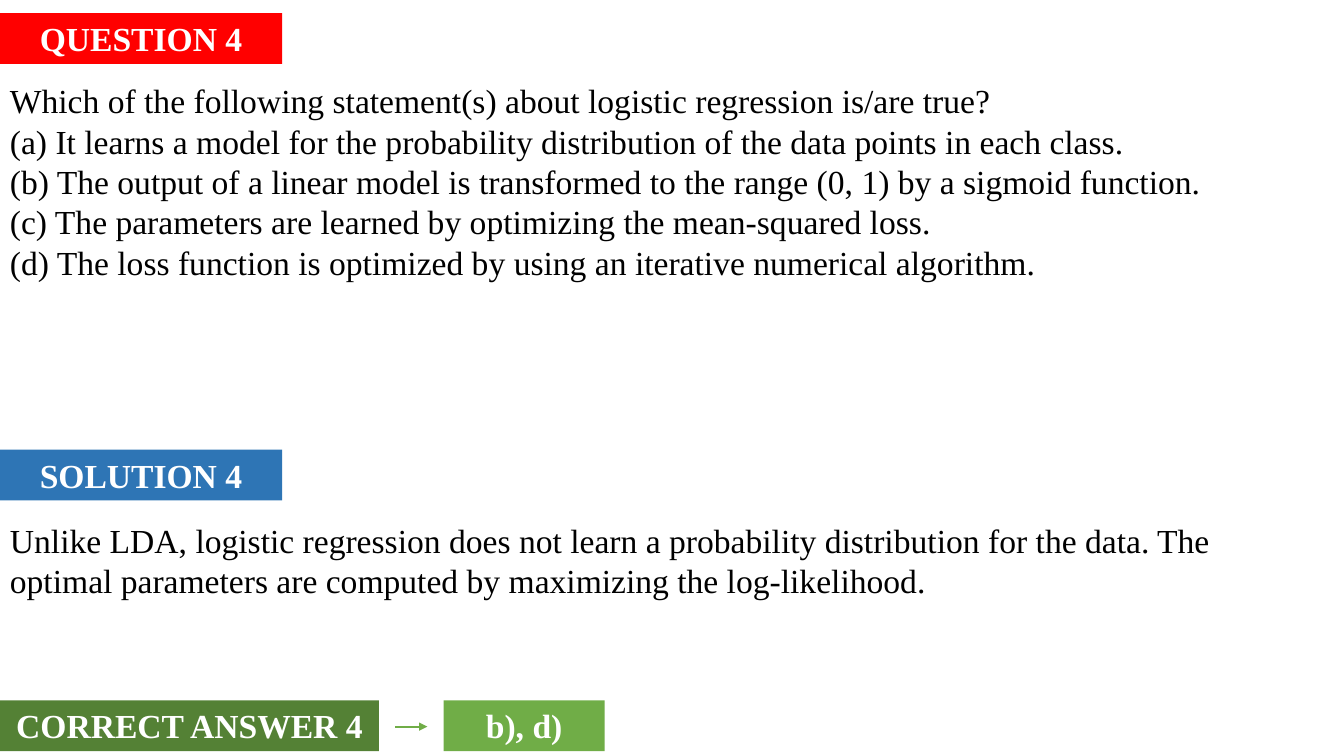
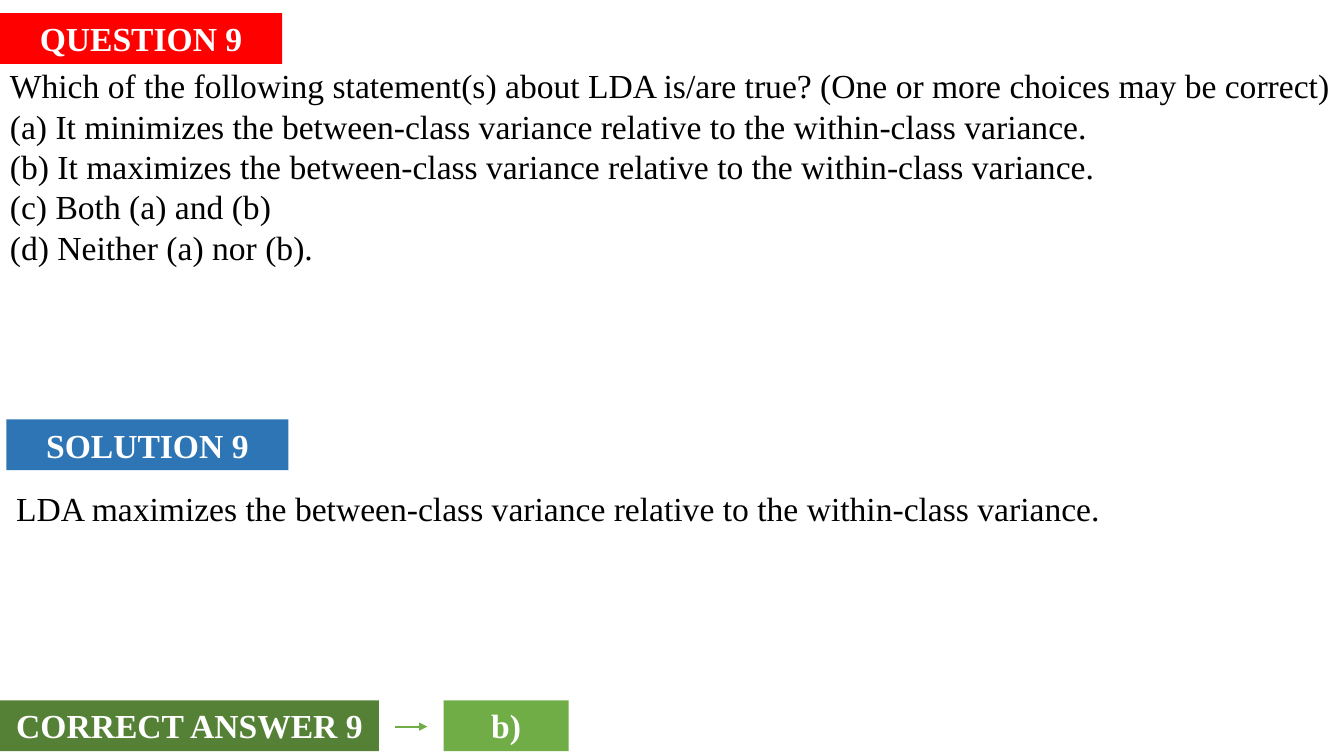
"""Build two quiz slides, each with a question, its solution and the correct answer."""
from lxml import etree
from pptx import Presentation
from pptx import util as u
from pptx.dml import color
from pptx.enum import shapes, text
from pptx.oxml import ns

FONT = "Times New Roman"
RED, BLUE, GREEN, LIME = "FF0000", "2E75B5", "548135", "70AD47"
WHITE, BLACK = "FFFFFF", "000000"
BAND, FOOT = 1.28, 17.65


def rgb(code):
    return color.RGBColor.from_string(code)


def box(page, left, top, width, height, lines, fill=None):
    size = [u.Cm(n) for n in (left, top, width, height)]
    if fill:
        item = page.shapes.add_shape(shapes.MSO_SHAPE.RECTANGLE, *size)
        item.shadow.inherit = False
        item.fill.solid()
        item.fill.fore_color.rgb = rgb(fill)
        item.line.fill.background()
    else:
        item = page.shapes.add_textbox(*size)
    frame = item.text_frame
    frame.word_wrap = True
    frame.auto_size = text.MSO_AUTO_SIZE.SHAPE_TO_FIT_TEXT
    frame.vertical_anchor = text.MSO_ANCHOR.TOP
    for i, line in enumerate(lines):
        para = frame.add_paragraph() if i else frame.paragraphs[0]
        para.alignment = text.PP_ALIGN.CENTER if fill else text.PP_ALIGN.LEFT
        run = para.add_run()
        run.text = line
        run.font.name = FONT
        run.font.size = u.Pt(24)
        run.font.bold = bool(fill)
        run.font.color.rgb = rgb(WHITE if fill else BLACK)


quiz = [
    dict(num=4, ask=[
        "Which of the following statement(s) about logistic regression is/are true?",
        "(a) It learns a model for the probability distribution of the data points in each class.",
        "(b) The output of a linear model is transformed to the range (0, 1) by a sigmoid function.",
        "(c) The parameters are learned by optimizing the mean-squared loss.",
        "(d) The loss function is optimized by using an iterative numerical algorithm.",
    ], ask_at=(0, 1.9, 32.72, 5.38), why=[
        "Unlike LDA, logistic regression does not learn a probability distribution for the data. "
        "The optimal parameters are computed by maximizing the log-likelihood.",
    ], head_at=(0, 11.33), why_at=(0, 12.98, 32.72, 2.31), key="b), d)", key_wide=4.06),
    dict(num=9, ask=[
        "Which of the following statement(s) about LDA is/are true? (One or more choices may be correct)",
        "(a) It minimizes the between-class variance relative to the within-class variance.",
        "(b) It maximizes the between-class variance relative to the within-class variance.",
        "(c) Both (a) and (b)",
        "(d) Neither (a) nor (b).",
    ], ask_at=(0, 1.52, 33.87, 5.38), why=[
        "LDA maximizes the between-class variance relative to the within-class variance.",
    ], head_at=(0.16, 10.57), why_at=(0.16, 12.17, 30.48, BAND), key="b)", key_wide=3.15),
]

deck = Presentation()
deck.slide_width, deck.slide_height = u.Cm(33.87), u.Cm(19.05)

for part in quiz:
    page = deck.slides.add_slide(deck.slide_layouts[6])
    num = part["num"]
    box(page, 0, 0.33, 7.11, BAND, [f"QUESTION {num}"], RED)
    box(page, *part["ask_at"], part["ask"])
    box(page, *part["head_at"], 7.11, BAND, [f"SOLUTION {num}"], BLUE)
    box(page, 0, FOOT, 9.55, BAND, [f"CORRECT ANSWER {num}"], GREEN)
    box(page, *part["why_at"], part["why"])
    box(page, 11.18, FOOT, part["key_wide"], BAND, [part["key"]], LIME)
    mid = u.Cm(18.31)
    arrow = page.shapes.add_connector(
        shapes.MSO_CONNECTOR.STRAIGHT, u.Cm(9.96), mid, u.Cm(10.77), mid)
    arrow.line.color.rgb = rgb(LIME)
    arrow.line.width = u.Pt(1.5)
    etree.SubElement(arrow.line._get_or_add_ln(), ns.qn("a:tailEnd"), type="triangle")
    etree.SubElement(arrow._element.spPr, ns.qn("a:effectLst"))

deck.save("out.pptx")
